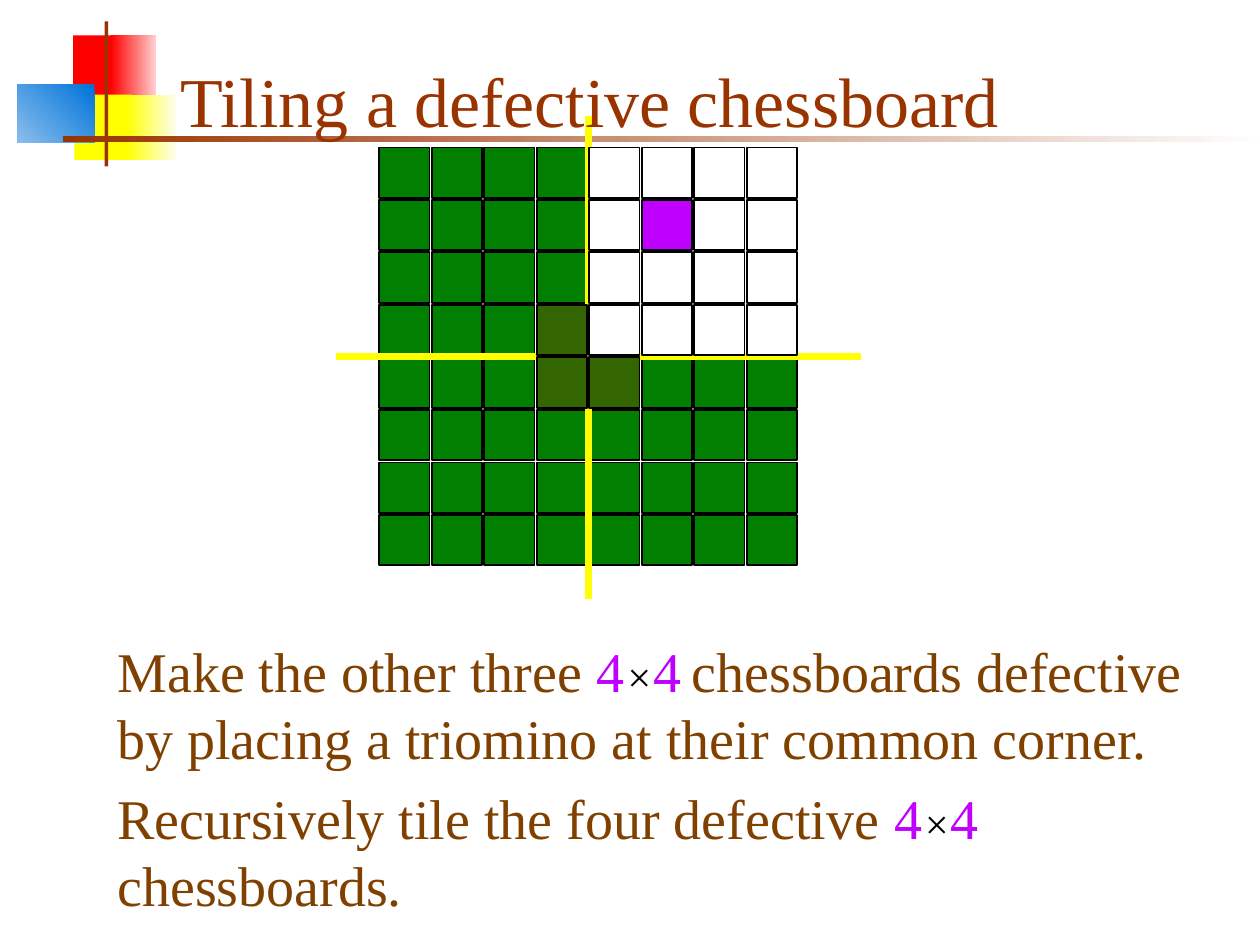
import pptx
import pptx.dml.color
import pptx.enum.shapes
import pptx.enum.text
import pptx.oxml.ns
import pptx.util
from lxml import etree

Color = pptx.dml.color.RGBColor
Inches = pptx.util.Inches

RED = Color(0xFF, 0x00, 0x00)
PINK = Color(0xFE, 0xD0, 0xD0)
YELLOW = Color(0xFF, 0xFF, 0x00)
IVORY = Color(0xFE, 0xFE, 0xEF)
BLUE = Color(0x00, 0x73, 0xD9)
PALE_BLUE = Color(0x8A, 0xBE, 0xEC)
RUST = Color(0x99, 0x33, 0x00)
OFF_WHITE = Color(0xFE, 0xFE, 0xFE)
WHITE = Color(0xFF, 0xFF, 0xFF)
BLACK = Color(0x00, 0x00, 0x00)
GREEN = Color(0x00, 0x7F, 0x00)
OLIVE = Color(0x33, 0x66, 0x00)
PURPLE = Color(0xBF, 0x00, 0xFF)
BROWN = Color(0x80, 0x40, 0x00)

FONT = "Times New Roman"
WIDTH, HEIGHT = 10, 7.5
SIZE = 8
HALF = SIZE // 2
PITCH = 5 / 12
CELL = 0.4
BOARD_LEFT, BOARD_TOP = 3.01, 1.17
CENTER_X, CENTER_Y = 4.67, 2.83
DEFECT = (5, 1)
CENTER_CELLS = [(column, row) for row in (3, 4) for column in (3, 4)]


def add_rectangle(shapes, left, top, width, height, color, end_color=None, angle=180, outline=None):
    box = shapes.add_shape(
        pptx.enum.shapes.MSO_SHAPE.RECTANGLE,
        Inches(left), Inches(top), Inches(width), Inches(height))
    box.shadow.inherit = False
    if end_color is None:
        box.fill.solid()
        box.fill.fore_color.rgb = color
    else:
        box.fill.gradient()
        box.fill.gradient_angle = angle
        for stop, stop_color, position in zip(box.fill.gradient_stops, (color, end_color), (0, 1)):
            stop.color.rgb = stop_color
            stop.position = position
    if outline is None:
        box.line.fill.background()
    else:
        box.line.color.rgb = outline
        box.line.width = pptx.util.Pt(1)


def add_cells(page, cells, color_of):
    group = page.shapes.add_group_shape()
    for column, row in cells:
        add_rectangle(
            group.shapes, BOARD_LEFT + column * PITCH, BOARD_TOP + row * PITCH,
            CELL, CELL, color_of(column, row), outline=BLACK)


def add_divider(page, start, end):
    line = page.shapes.add_connector(
        pptx.enum.shapes.MSO_CONNECTOR.STRAIGHT, *map(Inches, start + end))
    line.line.color.rgb = YELLOW
    line.line.width = pptx.util.Pt(4)
    properties = line.element.find(pptx.oxml.ns.qn("p:spPr"))
    etree.SubElement(properties, pptx.oxml.ns.qn("a:effectLst"))


def add_span(para, text, size=32, color=BROWN, italic=False):
    span = para.add_run()
    span.text = text
    span.font.name = FONT
    span.font.size = pptx.util.Pt(size)
    span.font.color.rgb = color
    span.font.italic = italic


def add_statement(page, top, before, after):
    box = page.shapes.add_textbox(
        Inches(WIDTH / 12), Inches(top), Inches(8.92), Inches(1.17))
    box.text_frame.word_wrap = True
    para = box.text_frame.paragraphs[0]
    para.space_before = pptx.util.Pt(20)
    add_span(para, before)
    add_span(para, " 4", color=PURPLE)
    add_span(para, "×", size=24, color=BLACK, italic=True)
    add_span(para, "4", color=PURPLE)
    add_span(para, " ", size=24)
    add_span(para, after)


def add_decoration(page):
    shapes = page.shapes
    add_rectangle(shapes, 0.58, 0.28, 0.35, 0.52, RED)
    add_rectangle(shapes, 0.88, 0.28, 0.36, 0.52, PINK, RED)
    add_rectangle(shapes, 0.59, 0.75, 0.46, 0.52, YELLOW)
    add_rectangle(shapes, 1, 0.75, 0.4, 0.52, IVORY, YELLOW)
    add_rectangle(shapes, 0.14, 0.67, 0.61, 0.46, BLUE, PALE_BLUE, angle=225)
    add_rectangle(shapes, 0.83, 0.17, 0.03, 1.15, RUST)
    add_rectangle(shapes, 0.5, 1.08, 9.5, 0.05, OFF_WHITE, RUST)


def format_title(page):
    title = page.shapes.title
    title.left, title.top = Inches(1.33), Inches(0.25)
    title.width, title.height = Inches(8.52), Inches(0.92)
    title.text_frame.vertical_anchor = pptx.enum.text.MSO_ANCHOR.BOTTOM
    para = title.text_frame.paragraphs[0]
    para.alignment = pptx.enum.text.PP_ALIGN.LEFT
    add_span(para, "Tiling a defective chessboard", size=40, color=RUST)
    title.element.getparent().append(title.element)


def main():
    deck = pptx.Presentation()
    deck.slide_width, deck.slide_height = Inches(WIDTH), Inches(HEIGHT)
    page = deck.slides.add_slide(deck.slide_layouts[5])
    add_decoration(page)

    outer = [(column, row) for row in range(SIZE) for column in range(SIZE)
             if (column, row) not in CENTER_CELLS]
    quadrant = [(column, row) for column, row in outer if column >= HALF and row < HALF]
    others = [cell for cell in outer if cell not in quadrant]

    add_cells(page, others, lambda column, row: GREEN)
    add_divider(page, (CENTER_X, 0.92), (CENTER_X, 4.75))
    add_divider(page, (2.67, CENTER_Y), (6.83, CENTER_Y))
    add_statement(page, 5, "Make the other three",
                  "chessboards defective by placing a triomino at their common corner.")
    add_cells(page, quadrant,
              lambda column, row: PURPLE if (column, row) == DEFECT else WHITE)
    add_cells(page, CENTER_CELLS,
              lambda column, row: WHITE if column >= HALF and row < HALF else OLIVE)
    add_statement(page, 6.17, "Recursively tile the four defective", "chessboards.")
    format_title(page)
    deck.save("out.pptx")


if __name__ == "__main__":
    main()
